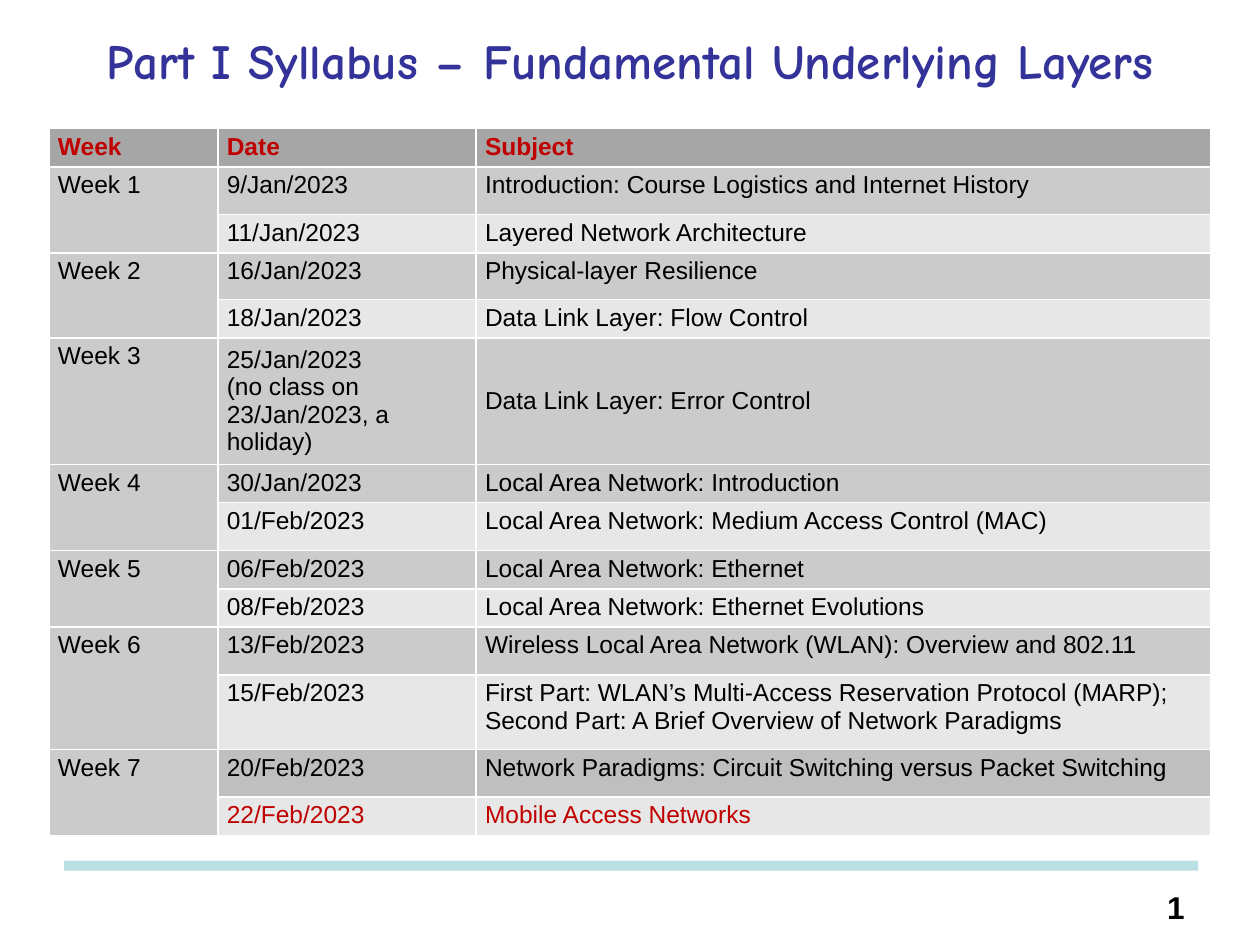
from dataclasses import dataclass

from pptx import Presentation, util as u
from pptx.dml.color import RGBColor
from pptx.enum import shapes, text
from pptx.oxml.ns import qn
from lxml import etree


@dataclass(frozen=True)
class Theme:
    title: str = "333399"
    ink: str = "000000"
    red: str = "C00000"
    head: str = "A6A6A6"
    dark: str = "CBCBCB"
    light: str = "E7E7E7"
    now: str = "BFBFBF"
    bar: str = "BBE0E3"
    edge: str = "FFFFFF"
    font: str = "Arial"
    fun: str = "Comic Neue"
    big: int = 28
    mid: int = 18
    small: int = 14


T = Theme()
W, H = u.Inches(10), u.Inches(7.5)
COLS = (1.34, 2.05, 5.83)
# Least row heights: a row grows to hold its text.
LINE, TALL = 0.22, 0.38

# Each week holds its classes as (date, subject, row height).
WEEKS = (
    (("9/Jan/2023", "Introduction: Course Logistics and Internet History", TALL),
     ("11/Jan/2023", "Layered Network Architecture", LINE)),
    (("16/Jan/2023", "Physical-layer Resilience", 0.37),
     ("18/Jan/2023", "Data Link Layer: Flow Control", LINE)),
    (("25/Jan/2023\n(no class on 23/Jan/2023, a holiday)",
      "Data Link Layer: Error Control", 0.72),),
    (("30/Jan/2023", "Local Area Network: Introduction", LINE),
     ("01/Feb/2023", "Local Area Network: Medium Access Control (MAC)", TALL)),
    (("06/Feb/2023", "Local Area Network: Ethernet", LINE),
     ("08/Feb/2023", "Local Area Network: Ethernet Evolutions", LINE)),
    (("13/Feb/2023", "Wireless Local Area Network (WLAN): Overview and 802.11", TALL),
     ("15/Feb/2023", "First Part: WLAN’s Multi-Access Reservation Protocol (MARP);\n"
      "Second Part: A Brief Overview of Network Paradigms", 0.59)),
    (("20/Feb/2023", "Network Paradigms: Circuit Switching versus Packet Switching", TALL),
     ("22/Feb/2023", "Mobile Access Networks", LINE)),
)


def write(frame, words, size=T.small, font=T.font, color=T.ink, bold=False,
          align=text.PP_ALIGN.LEFT, gap=None):
    frame.text = words
    frame.word_wrap = True
    for para in frame.paragraphs:
        para.alignment = align
        para.line_spacing = gap
        for run in para.runs:
            run.font.size = u.Pt(size)
            run.font.name = font
            run.font.bold = bold
            run.font.color.rgb = RGBColor.from_string(color)


def border(cell):
    """Draw a thin line on all four sides of the cell."""
    props = cell._tc.get_or_add_tcPr()
    for spot, side in enumerate(("lnL", "lnR", "lnT", "lnB")):
        line = etree.Element(qn(f"a:{side}"), w=str(u.Pt(1)))
        fill = etree.SubElement(line, qn("a:solidFill"))
        etree.SubElement(fill, qn("a:srgbClr"), val=T.edge)
        props.insert(spot, line)


def put(cell, words, fill, mid=False, **style):
    write(cell.text_frame, words, **style)
    cell.margin_left = cell.margin_right = u.Inches(0.07)
    cell.margin_top = cell.margin_bottom = u.Pt(2.55)
    cell.vertical_anchor = text.MSO_ANCHOR.MIDDLE if mid else text.MSO_ANCHOR.TOP
    cell.fill.solid()
    cell.fill.fore_color.rgb = RGBColor.from_string(fill)
    border(cell)


def add_title(slide, words):
    title = slide.shapes.title
    title.left, title.top = int(W * 0.011), u.Inches(0.23)
    title.width, title.height = int(W * 0.978), u.Inches(0.58)
    frame = title.text_frame
    frame.auto_size = text.MSO_AUTO_SIZE.NONE
    frame.vertical_anchor = text.MSO_ANCHOR.MIDDLE
    write(frame, words, size=T.big, font=T.fun, color=T.title, bold=True,
          align=text.PP_ALIGN.CENTER, gap=0.8)


def add_plan(slide):
    highs = [LINE] + [high for week in WEEKS for _, _, high in week]
    holder = slide.shapes.add_table(
        len(highs), len(COLS), u.Inches(0.39), u.Inches(1.02),
        u.Inches(sum(COLS)), u.Inches(sum(highs)))
    grid = holder.table
    for col, wide in zip(grid.columns, COLS):
        col.width = u.Inches(wide)
    for row, high in zip(grid.rows, highs):
        row.height = u.Inches(high)
    holder.height = u.Inches(5.64)

    for col, name in enumerate(("Week", "Date", "Subject")):
        put(grid.cell(0, col), name, T.head, color=T.red, bold=True)

    top = 1
    for num, week in enumerate(WEEKS, 1):
        last = num == len(WEEKS)
        for step, (date, topic, _) in enumerate(week):
            row = top + step
            first = step == 0
            fill = (T.now if last else T.dark) if first else T.light
            color = T.red if last and not first else T.ink
            put(grid.cell(row, 0), f"Week {num}" if first else "", T.dark)
            for col, words in enumerate((date, topic), 1):
                put(grid.cell(row, col), words, fill, mid=len(week) == 1, color=color)
        if len(week) > 1:
            grid.cell(top, 0).merge(grid.cell(row, 0))
        top += len(week)


def add_foot(slide, page):
    bar = slide.shapes.add_shape(
        shapes.MSO_SHAPE.RECTANGLE, int(W * 0.051), u.Inches(6.83),
        int(W * 0.9), u.Inches(0.08))
    bar.shadow.inherit = False
    bar.fill.solid()
    bar.fill.fore_color.rgb = RGBColor.from_string(T.bar)
    bar.line.fill.background()
    box = slide.shapes.add_textbox(
        u.Inches(8.83), u.Inches(7), u.Inches(0.67), u.Inches(0.42))
    write(box.text_frame, page, size=T.mid, bold=True, align=text.PP_ALIGN.RIGHT)


def main():
    deck = Presentation()
    deck.slide_width, deck.slide_height = W, H
    slide = deck.slides.add_slide(deck.slide_layouts[5])
    add_title(slide, "Part I Syllabus – Fundamental Underlying Layers")
    add_foot(slide, "1")
    add_plan(slide)
    deck.save("out.pptx")


if __name__ == "__main__":
    main()
